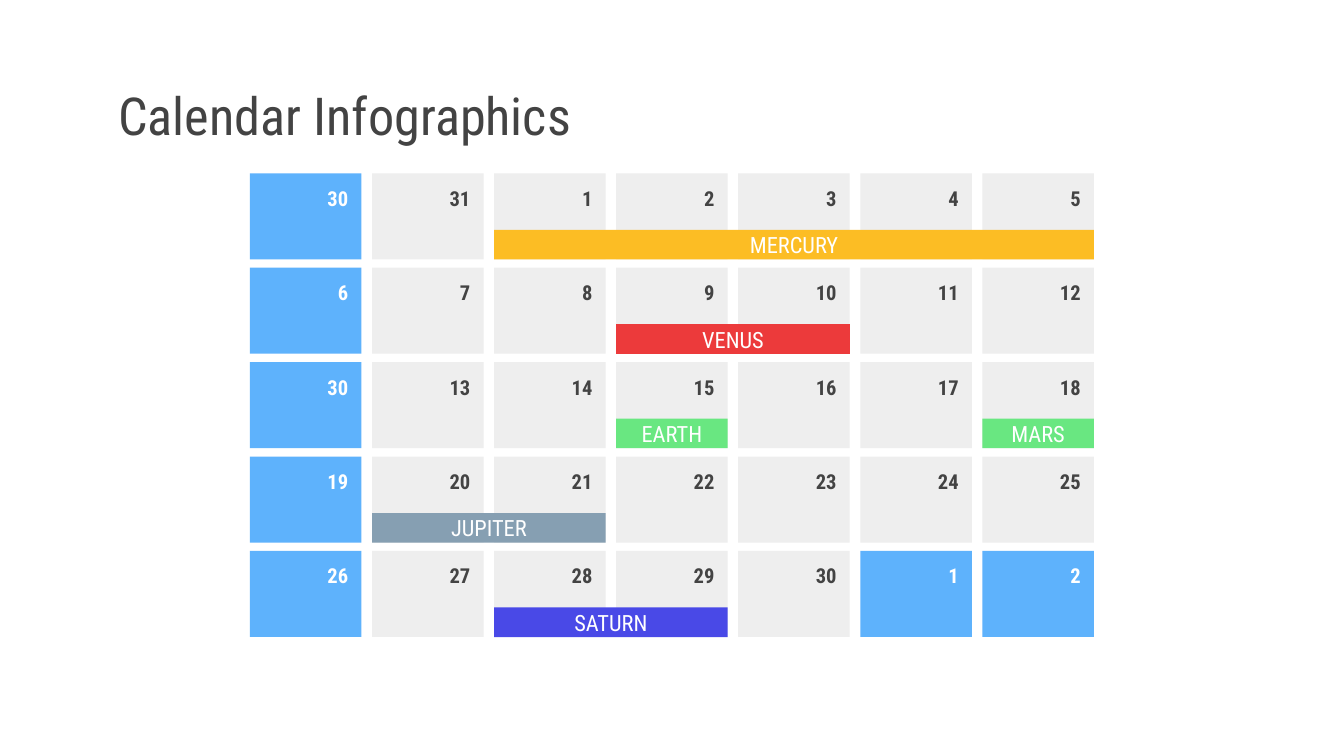
from pptx import Presentation
from pptx.dml.color import RGBColor
from pptx.enum.shapes import MSO_SHAPE
from pptx.enum.text import MSO_ANCHOR, PP_ALIGN
from pptx.util import Inches, Pt

RECT = MSO_SHAPE.RECTANGLE
TOP, MIDDLE = MSO_ANCHOR.TOP, MSO_ANCHOR.MIDDLE
LEFT, CENTER, RIGHT = PP_ALIGN.LEFT, PP_ALIGN.CENTER, PP_ALIGN.RIGHT
FONT = "Roboto Condensed"
BLUE, GRAY, DARK, WHITE = "5EB2FC", "EEEEEE", "434343", "FFFFFF"

# Calendar grid
GRID_X, GRID_Y = 1.86, 1.29
CELL_W, CELL_H = 0.83, 0.64
STEP_X = (7.31 - GRID_X) / 6
STEP_Y = (4.1 - GRID_Y) / 4
NUMBER_W, NUMBER_H = 0.47, 0.31
BAR_H = 0.22

WEEKS = [
    [30, 31, 1, 2, 3, 4, 5],
    [6, 7, 8, 9, 10, 11, 12],
    [30, 13, 14, 15, 16, 17, 18],
    [19, 20, 21, 22, 23, 24, 25],
    [26, 27, 28, 29, 30, 1, 2],
]

# Name, week, first day column, number of days, colour
EVENTS = [
    ("MERCURY", 0, 2, 5, "FCBD24"),
    ("VENUS", 1, 3, 2, "EC3A3B"),
    ("EARTH", 2, 3, 1, "69E781"),
    ("MARS", 2, 6, 1, "69E781"),
    ("JUPITER", 3, 1, 2, "869FB2"),
    ("SATURN", 4, 2, 2, "4949E7"),
]

# Widescreen 16:9 slide
prs = Presentation()
prs.slide_width = Inches(10)
prs.slide_height = Inches(10 * 9 / 16)
s = prs.slides.add_slide(prs.slide_layouts[5])


def add_rect(x, y, w, h, color):
    sp = s.shapes.add_shape(RECT, Inches(x), Inches(y), Inches(w), Inches(h))
    sp.shadow.inherit = False
    sp.fill.solid()
    sp.fill.fore_color.rgb = RGBColor.from_string(color)
    sp.line.fill.background()
    return sp


def set_text(sp, text, size, color, align, anchor, bold=False):
    tf = sp.text_frame
    tf.word_wrap = True
    tf.vertical_anchor = anchor
    tf.margin_left = tf.margin_right = Inches(0.1)
    tf.margin_top = tf.margin_bottom = Inches(0.1)
    p = tf.paragraphs[0]
    p.alignment = align
    r = p.add_run()
    r.text = text
    r.font.name = FONT
    r.font.size = Pt(size)
    r.font.bold = bold
    r.font.color.rgb = RGBColor.from_string(color)


# Title
title = s.shapes.title
title.left, title.top = Inches(0.78), Inches(0.59)
title.width, title.height = Inches(8.45), Inches(0.53)
set_text(title, "Calendar Infographics", 28, DARK, LEFT, MIDDLE)

# Day cells with their numbers
for row, week in enumerate(WEEKS):
    for col, day in enumerate(week):
        x, y = GRID_X + col * STEP_X, GRID_Y + row * STEP_Y
        highlighted = col == 0 or (row == 4 and col >= 5)
        add_rect(x, y, CELL_W, CELL_H, BLUE if highlighted else GRAY)
        number = s.shapes.add_textbox(
            Inches(x + CELL_W - NUMBER_W), Inches(y),
            Inches(NUMBER_W), Inches(NUMBER_H))
        set_text(number, str(day), 11, WHITE if highlighted else DARK,
                 RIGHT, TOP, bold=True)

# Event bars along the bottom of the cells
for name, row, col, days, color in EVENTS:
    bar = add_rect(GRID_X + col * STEP_X,
                   GRID_Y + row * STEP_Y + CELL_H - BAR_H,
                   (days - 1) * STEP_X + CELL_W, BAR_H, color)
    set_text(bar, name, 12, WHITE, CENTER, MIDDLE)

prs.save("out.pptx")
